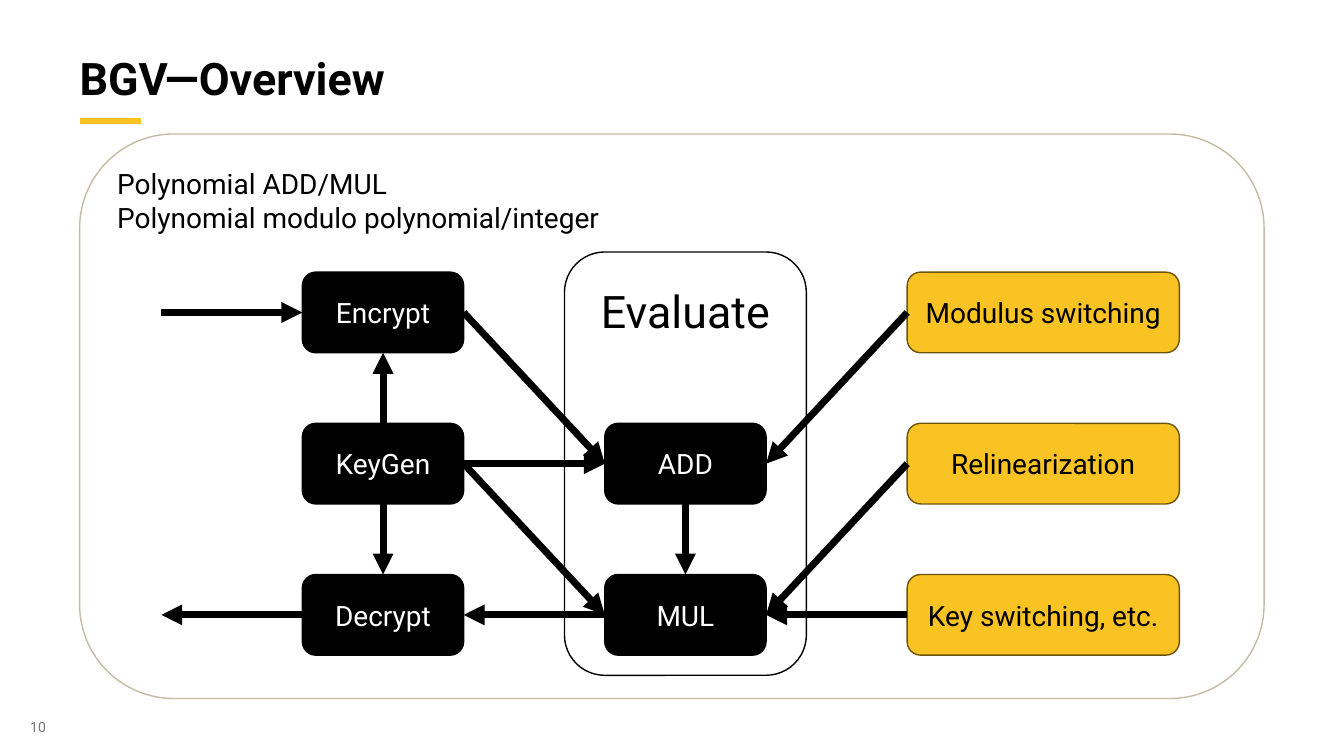
from pptx import Presentation
from pptx.dml.color import RGBColor
from pptx.enum.shapes import MSO_CONNECTOR, MSO_SHAPE
from pptx.enum.text import MSO_ANCHOR, MSO_AUTO_SIZE, PP_ALIGN
from pptx.oxml.ns import qn
from pptx.util import Inches, Pt
from lxml import etree

ROUNDED = MSO_SHAPE.ROUNDED_RECTANGLE
STRAIGHT = MSO_CONNECTOR.STRAIGHT
TOP_ANCHOR, MIDDLE, BOTTOM_ANCHOR = MSO_ANCHOR.TOP, MSO_ANCHOR.MIDDLE, MSO_ANCHOR.BOTTOM
LEFT_ALIGN, CENTER = PP_ALIGN.LEFT, PP_ALIGN.CENTER
NO_FIT = MSO_AUTO_SIZE.NONE
TOP, LEFT, BOTTOM, RIGHT = range(4)  # connection sites

COLORS = {
    "black": "000000", "white": "FFFFFF", "gray": "787878", "sand": "C5BBA4",
    "accent": "F9C423", "yellow": "F8C323", "brown": "6D550F",
}
GRID = 0.1  # inches per column and per row


def cells(*counts):
    return [Inches(round(count * GRID, 3)) for count in counts]


def color(name):
    return RGBColor.from_string(COLORS[name])


class Diagram:
    """Holds the style and the current slide; places are in grid columns and rows."""

    font = "Roboto"

    def __init__(self, deck):
        self.slide = deck.slides.add_slide(deck.slide_layouts[5])
        self.shapes = self.slide.shapes

    def set_text(self, shape, lines, size, ink, align=LEFT_ALIGN, bold=False,
                 anchor=TOP_ANCHOR, insets=(1, 0.5, 1, 0.5)):
        frame = shape.text_frame
        left, top, right, bottom = cells(*insets)
        settings = {
            "word_wrap": True, "auto_size": NO_FIT, "vertical_anchor": anchor,
            "margin_left": left, "margin_top": top,
            "margin_right": right, "margin_bottom": bottom,
        }
        for name, value in settings.items():
            setattr(frame, name, value)
        for number, line in enumerate(lines):
            para = frame.add_paragraph() if number else frame.paragraphs[0]
            para.alignment = align
            span = para.add_run()
            span.text = line
            for name, value in {"name": self.font, "size": Pt(size), "bold": bold}.items():
                setattr(span.font, name, value)
            span.font.color.rgb = color(ink)

    def title(self, place, text):
        holder = self.shapes.title
        for name, value in zip(("left", "top", "width", "height"), cells(*place)):
            setattr(holder, name, value)
        self.set_text(holder, [text], 32, "black", bold=True,
                      anchor=BOTTOM_ANCHOR, insets=(0, 0, 0, 0))

    def label(self, place, text, size, ink):
        box = self.shapes.add_textbox(*cells(*place))
        self.set_text(box, [text], size, ink, insets=(0, 0, 0, 0))

    def box(self, place, lines, fill, edge, size=20, ink="black", **layout):
        shape = self.shapes.add_shape(ROUNDED, *cells(*place))
        shape.shadow.inherit = False
        shape.fill.solid()
        shape.fill.fore_color.rgb = color(fill)
        shape.line.color.rgb = color(edge)
        shape.line.width = Pt(1)
        self.set_text(shape, lines, size, ink, **layout)
        return shape

    def line(self, start, end, ink, width):
        connector = self.shapes.add_connector(STRAIGHT, *cells(*start, *end))
        connector.line.color.rgb = color(ink)
        connector.line.width = Pt(width)
        etree.SubElement(connector._element.spPr, qn("a:effectLst"))
        return connector

    def arrow(self, start, end):
        """Each end is (box, side) or a free (column, row) point."""
        free = [(0, 0) if hasattr(mark[0], "text_frame") else mark for mark in (start, end)]
        connector = self.line(*free, "black", 5)
        for mark, join in ((start, connector.begin_connect), (end, connector.end_connect)):
            if hasattr(mark[0], "text_frame"):
                join(*mark)
        outline = connector._element.spPr.find(qn("a:ln"))
        etree.SubElement(outline, qn("a:tailEnd"), type="triangle")


def main():
    deck = Presentation()
    deck.slide_width, deck.slide_height = cells(133.33, 75)
    diagram = Diagram(deck)

    # Heading, accent rule and page number
    diagram.title((7.9, 2, 117.5, 8.4), "BGV—Overview")
    diagram.line((7.9, 12), (14, 12), "accent", 4)
    diagram.label((3, 71.3, 10, 1.7), "10", 10, "gray")

    # Panels
    diagram.box((7.9, 13.3, 117.5, 56),
                ["Polynomial ADD/MUL", "Polynomial modulo polynomial/integer"],
                "white", "sand")
    diagram.box((56, 25, 24, 42), ["Evaluate"], "white", "black", size=32,
                align=CENTER, insets=(1, 2, 1, 0.5))

    # Operations: three columns 30 apart, three rows 15 apart
    dark = {"fill": "black", "edge": "black", "ink": "white"}
    bright = {"fill": "yellow", "edge": "brown", "ink": "black"}
    columns = [
        (16, dark, {0: "Encrypt", 1: "KeyGen", 2: "Decrypt"}),
        (16, dark, {1: "ADD", 2: "MUL"}),
        (27, bright, {0: "Modulus switching", 1: "Relinearization", 2: "Key switching, etc."}),
    ]
    node = {}
    for column, (width, style, names) in enumerate(columns):
        for row, name in names.items():
            place = (30 + 30 * column, 27 + 15 * row, width, 8)
            node[name] = diagram.box(place, [name], align=CENTER, anchor=MIDDLE, **style)

    # Flow between operations
    flows = [
        ("KeyGen", TOP, "Encrypt", BOTTOM),
        ("KeyGen", BOTTOM, "Decrypt", TOP),
        ("KeyGen", RIGHT, "ADD", LEFT),
        ("KeyGen", RIGHT, "MUL", LEFT),
        ("Encrypt", RIGHT, "ADD", LEFT),
        ("MUL", LEFT, "Decrypt", RIGHT),
        ("ADD", BOTTOM, "MUL", TOP),
        ("Modulus switching", LEFT, "ADD", RIGHT),
        ("Relinearization", LEFT, "MUL", RIGHT),
        ("Key switching, etc.", LEFT, "MUL", RIGHT),
    ]
    for source, source_side, target, target_side in flows:
        diagram.arrow((node[source], source_side), (node[target], target_side))

    # Input and output
    diagram.arrow((16, 31), (node["Encrypt"], LEFT))
    diagram.arrow((node["Decrypt"], LEFT), (16, 61))

    deck.save("out.pptx")


if __name__ == "__main__":
    main()
